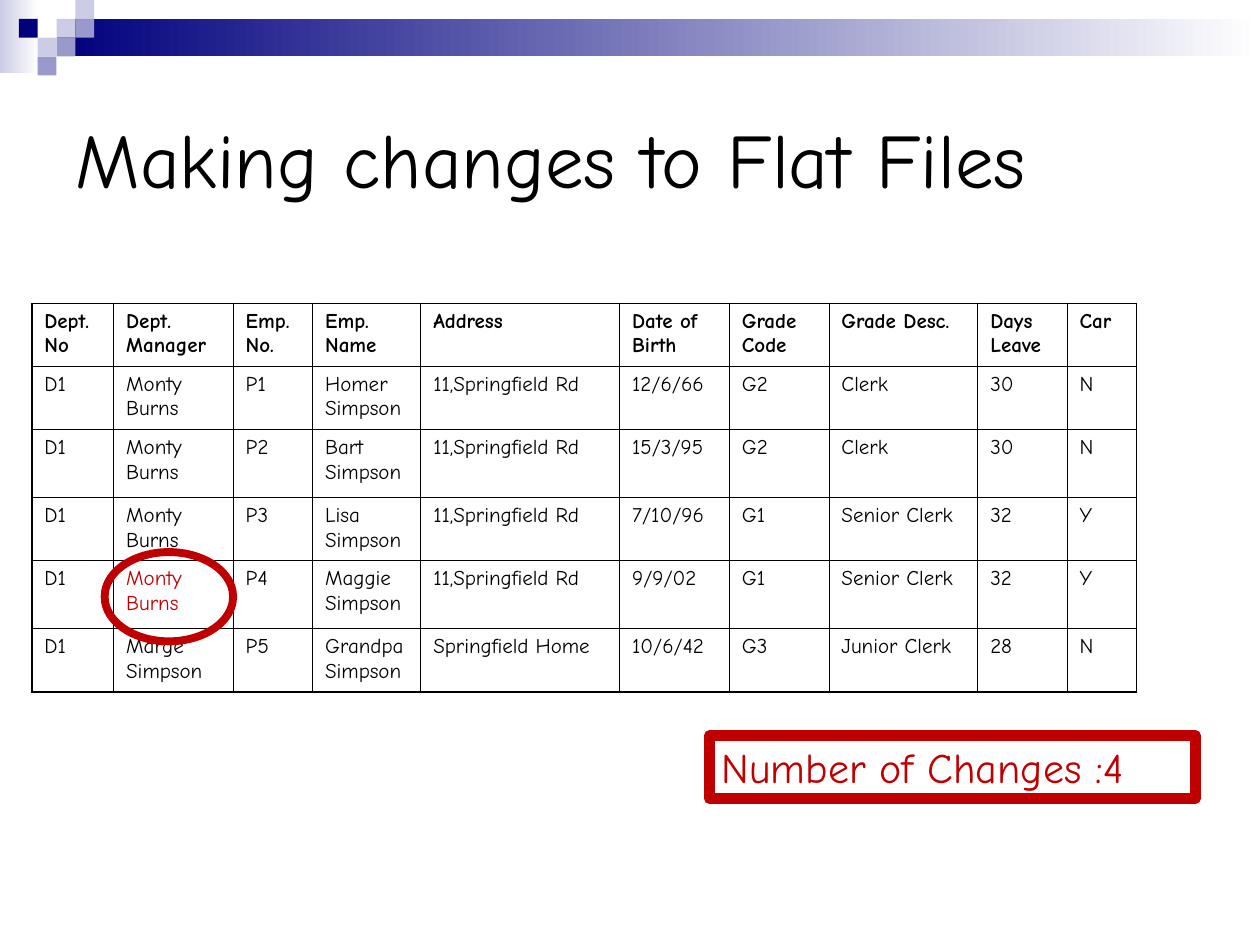
"""Build the slide on making changes to flat files."""
from dataclasses import dataclass

from lxml.etree import SubElement
from pptx import Presentation
from pptx.dml.color import RGBColor
from pptx.enum.shapes import MSO_SHAPE
from pptx.enum.text import MSO_ANCHOR, MSO_AUTO_SIZE, PP_ALIGN
from pptx.oxml.ns import qn
from pptx.util import Cm, Pt

FONT = "Comic Neue"
BLACK, WHITE, RED = "000000", "FFFFFF", "C00000"
NAVY, LILAC, PERIWINKLE = "00007D", "CCCCE6", "9999CC"
SQUARE = 0.38
THICK, THIN = 1.08, 0.45
COLUMN_WIDTHS = [1.65, 2.41, 1.6, 2.18, 4.01, 2.21, 2.01, 3, 1.8, 1.4]
ROW_HEIGHTS = [1.27, 1.27, 1.37, 1.27, 1.37, 1.27]
HEADINGS = ["Dept.No", "Dept. Manager", "Emp. No.", "Emp. Name", "Address",
            "Date of Birth", "Grade Code", "Grade Desc.", "Days Leave", "Car"]
EMPLOYEES = [
    ["D1", "Monty Burns", "P1", "Homer Simpson", "11,Springfield Rd",
     "12/6/66", "G2", "Clerk", "30", "N"],
    ["D1", "Monty Burns", "P2", "Bart Simpson", "11,Springfield Rd",
     "15/3/95", "G2", "Clerk", "30", "N"],
    ["D1", "Monty Burns", "P3", "Lisa Simpson", "11,Springfield Rd",
     "7/10/96", "G1", "Senior Clerk", "32", "Y"],
    ["D1", "Monty Burns", "P4", "Maggie Simpson", "11,Springfield Rd",
     "9/9/02", "G1", "Senior Clerk", "32", "Y"],
    ["D1", "Marge Simpson", "P5", "Grandpa Simpson", "Springfield Home",
     "10/6/42", "G3", "Junior Clerk", "28", "N"],
]
HIGHLIGHTED_CELL = (4, 1)


@dataclass
class Area:
    left: float
    top: float
    width: float
    height: float

    def lengths(self) -> tuple:
        return Cm(self.left), Cm(self.top), Cm(self.width), Cm(self.height)


@dataclass
class Square:
    column: int
    row: int
    color: str


BANDS = [(Area(0, 0, 0.79, 1.47), LILAC), (Area(1.14, 0.38, 24.26, 0.76), NAVY)]
SQUARES = [
    Square(3, 1, LILAC), Square(4, 0, LILAC), Square(4, 1, PERIWINKLE),
    Square(2, 2, LILAC), Square(1, 1, NAVY), Square(3, 2, PERIWINKLE),
    Square(2, 3, PERIWINKLE),
]


def rgb(color: str) -> RGBColor:
    return RGBColor.from_string(color)


def add_plain_shape(slide, kind, area: Area):
    shape = slide.shapes.add_shape(kind, *area.lengths())
    shape.shadow.inherit = False
    shape.line.fill.background()
    return shape


def add_band(slide, area: Area, color: str) -> None:
    band = add_plain_shape(slide, MSO_SHAPE.RECTANGLE, area)
    band.fill.gradient()
    band.fill.gradient_angle = 0
    for stop, stop_color in zip(band.fill.gradient_stops, (color, WHITE)):
        stop.color.rgb = rgb(stop_color)


def add_square(slide, square: Square) -> None:
    area = Area(square.column * SQUARE, square.row * SQUARE, SQUARE, SQUARE)
    shape = add_plain_shape(slide, MSO_SHAPE.RECTANGLE, area)
    shape.fill.solid()
    shape.fill.fore_color.rgb = rgb(square.color)


def add_outline(slide, kind, area: Area, line_width: float):
    shape = add_plain_shape(slide, kind, area)
    shape.fill.background()
    shape.line.color.rgb = rgb(RED)
    shape.line.width = Pt(line_width)
    return shape


def write(frame, text: str, size: float, color: str, bold: bool = False) -> None:
    frame.text = text
    para = frame.paragraphs[0]
    para.alignment = PP_ALIGN.LEFT
    para.font.name = FONT
    para.font.size = Pt(size)
    para.font.bold = bold
    para.font.color.rgb = rgb(color)


def set_borders(cell, widths: dict) -> None:
    properties = cell._tc.get_or_add_tcPr()
    for side, width in widths.items():
        border = SubElement(properties, qn(f"a:ln{side}"), w=str(Pt(width)))
        fill = SubElement(border, qn("a:solidFill"))
        SubElement(fill, qn("a:srgbClr"), val=BLACK)


def add_employee_table(slide, area: Area) -> None:
    records = [HEADINGS, *EMPLOYEES]
    last_row, last_column = len(records) - 1, len(HEADINGS) - 1
    table = slide.shapes.add_table(
        len(records), len(HEADINGS), *area.lengths()).table
    table.first_row = table.horz_banding = False
    for column, width in zip(table.columns, COLUMN_WIDTHS):
        column.width = Cm(width)
    for row, height in zip(table.rows, ROW_HEIGHTS):
        row.height = Cm(height)
    for row_index, record in enumerate(records):
        for column_index, text in enumerate(record):
            cell = table.cell(row_index, column_index)
            color = RED if (row_index, column_index) == HIGHLIGHTED_CELL else BLACK
            write(cell.text_frame, text, 12, color, bold=row_index == 0)
            set_borders(cell, {
                "L": THICK if column_index == 0 else THIN,
                "R": THICK if column_index == last_column else THIN,
                "T": THICK if row_index == 0 else THIN,
                "B": THICK if row_index == last_row else THIN,
            })
            cell.fill.background()


def add_title(slide, text: str, area: Area) -> None:
    title = slide.shapes.title
    title.left, title.top, title.width, title.height = area.lengths()
    title.text_frame.auto_size = MSO_AUTO_SIZE.NONE
    title.text_frame.vertical_anchor = MSO_ANCHOR.MIDDLE
    write(title.text_frame, text, 44, BLACK)


def add_change_count(slide, text: str, area: Area) -> None:
    box = add_outline(slide, MSO_SHAPE.RECTANGLE, area, 6)
    frame = box.text_frame
    frame.word_wrap = True
    frame.auto_size = MSO_AUTO_SIZE.SHAPE_TO_FIT_TEXT
    frame.vertical_anchor = MSO_ANCHOR.TOP
    write(frame, text, 24, RED)


def main() -> None:
    deck = Presentation()
    deck.slide_width, deck.slide_height = Cm(25.4), Cm(19.05)
    page = deck.slides.add_slide(deck.slide_layouts[5])
    for area, color in BANDS:
        add_band(page, area, color)
    for square in SQUARES:
        add_square(page, square)
    add_title(page, "Making changes to Flat Files", Area(1.27, 1.27, 22.86, 3.81))
    add_change_count(page, "Number of Changes :4", Area(14.3, 14.83, 9.8, 1.27))
    add_employee_table(page, Area(0.64, 6.12, sum(COLUMN_WIDTHS), sum(ROW_HEIGHTS)))
    add_outline(page, MSO_SHAPE.OVAL, Area(2.11, 11.13, 2.59, 1.8), 4.5)
    deck.save("out.pptx")


if __name__ == "__main__":
    main()
